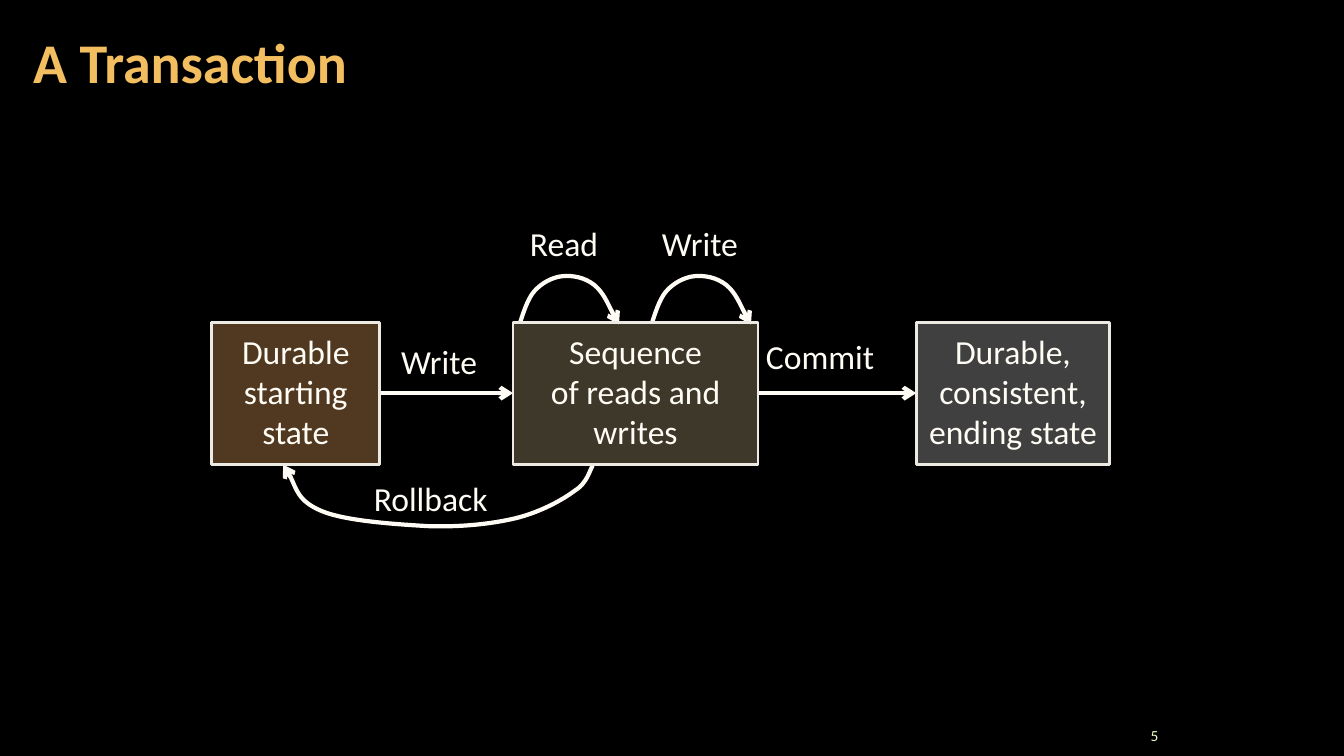
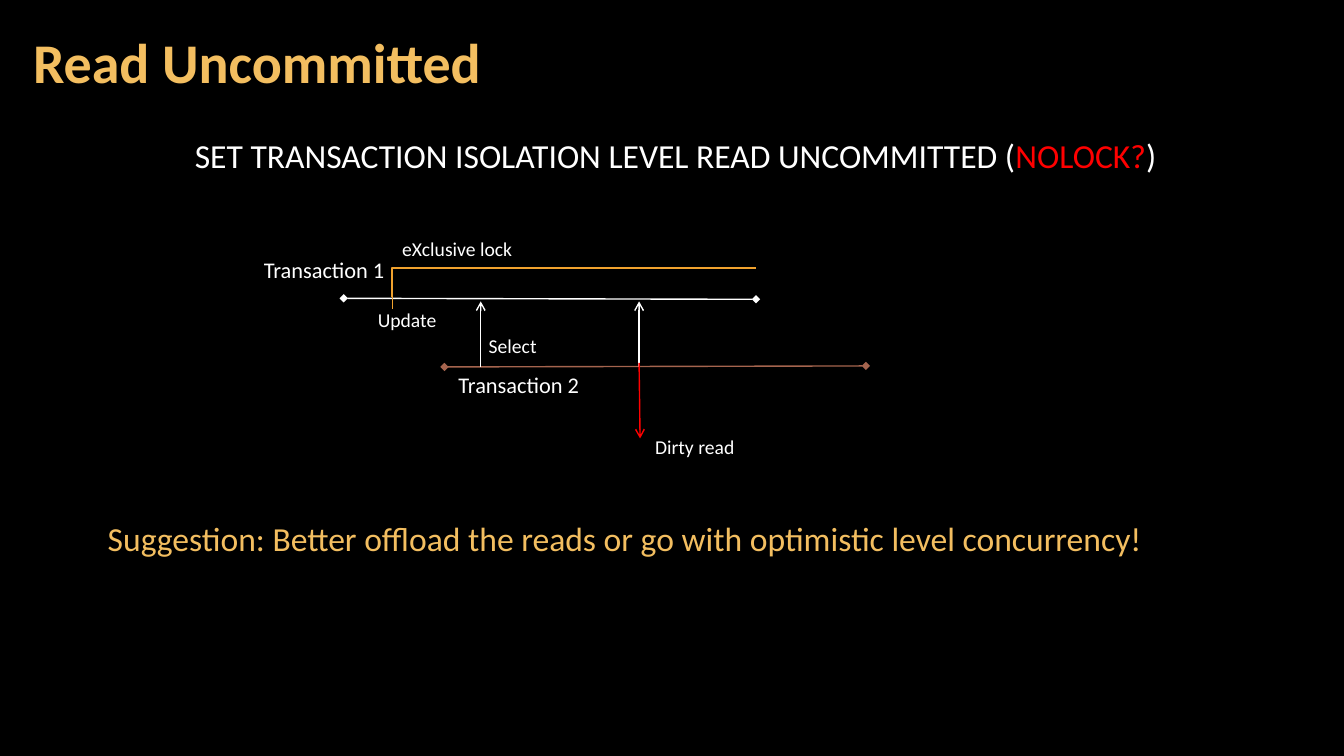
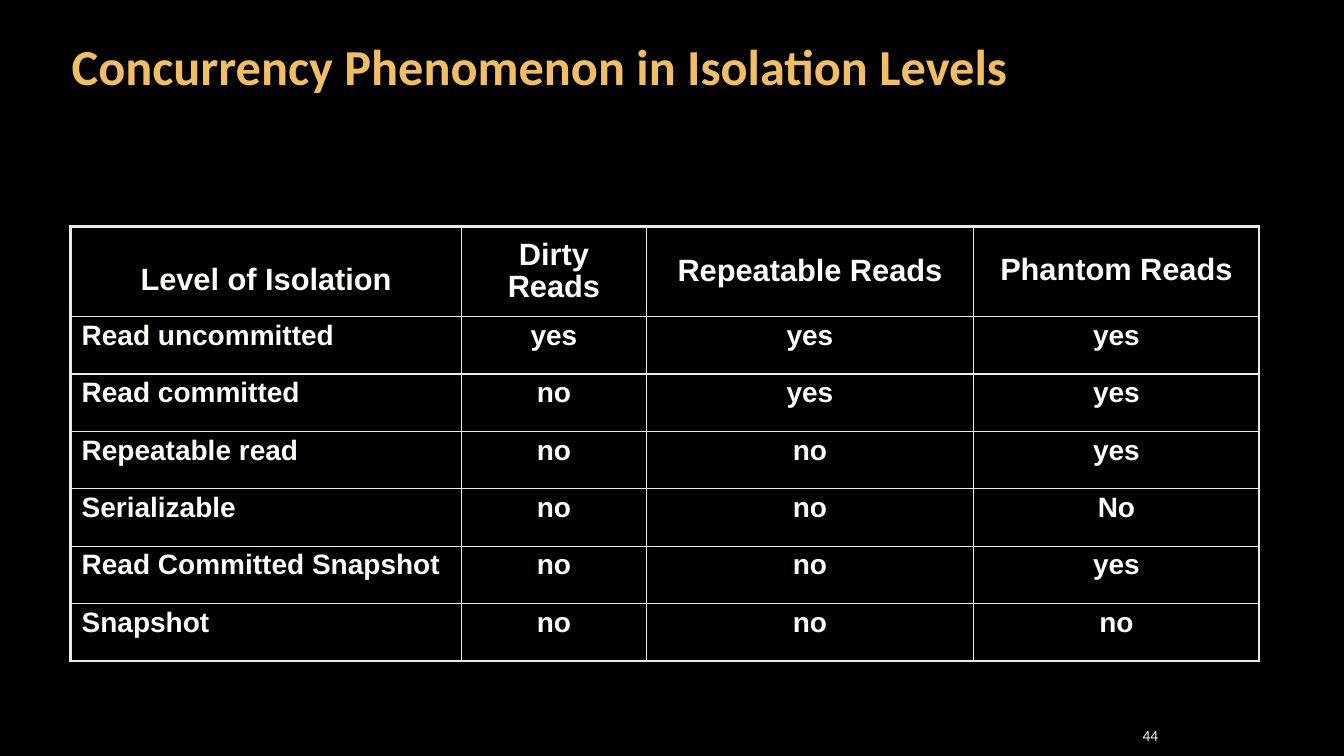
from dataclasses import dataclass
from itertools import pairwise
from typing import Sequence

from lxml import etree
from pptx import Presentation
from pptx.dml.color import RGBColor
from pptx.enum import shapes, text
from pptx.oxml import ns
from pptx.util import Pt

Point = tuple[float, float]
ALIGN = text.PP_ALIGN
ANCHOR = text.MSO_ANCHOR


@dataclass(frozen=True)
class Theme:
    background: str = "000000"
    title: str = "F3BE60"
    ink: str = "FEFCF4"
    white: str = "FFFFFF"
    border: str = "ECEAE3"
    number: str = "EBFFC2"
    alert: str = "FF0000"
    lock: str = "F0A22E"
    second: str = "A5644E"
    start_fill: str = "A27242"
    work_fill: str = "7C7154"
    end_fill: str = "808080"
    font: str = "Calibri"
    table_font: str = "Arial"
    title_size: float = 40
    long_title_size: float = 36
    body_size: float = 24
    header_size: float = 22
    cell_size: float = 20
    name_size: float = 16
    note_size: float = 14
    number_size: float = 11


T = Theme()


@dataclass(frozen=True)
class Label:
    text: str
    left: float
    top: float
    width: float
    height: float = 36
    size: float = T.body_size
    color: str = T.ink
    wrap: bool = False


@dataclass(frozen=True)
class State:
    text: str
    left: float
    width: float
    fill: str
    wrap: bool = True


@dataclass(frozen=True)
class Line:
    start: Point
    end: Point
    color: str = T.white
    width: float = 1
    head: str = ""
    tail: str = ""


def rgb(value: str) -> RGBColor:
    return RGBColor.from_string(value)


def sub(parent, tag: str, **attrs: str):
    return etree.SubElement(parent, ns.qn(tag), attrs)


def write(tf, content: str, *, size: float = T.body_size, color: str = T.ink,
          font: str = T.font, bold: bool = False, align=ALIGN.LEFT,
          spacing: float = 1.0, highlight: str = "") -> None:
    for i, row in enumerate(content.split("\n")):
        p = tf.add_paragraph() if i else tf.paragraphs[0]
        p.alignment = align
        p.line_spacing = spacing
        for part in row.partition(highlight) if highlight else (row,):
            r = p.add_run()
            r.text = part
            r.font.name = font
            r.font.size = Pt(size)
            r.font.bold = bold
            r.font.color.rgb = rgb(T.alert if part == highlight else color)


def frame(tf, insets: Sequence[float], anchor=ANCHOR.TOP, wrap: bool = True) -> None:
    tf.margin_left, tf.margin_top, tf.margin_right, tf.margin_bottom = map(Pt, insets)
    tf.vertical_anchor = anchor
    tf.word_wrap = wrap


def add_text(s, content: str, box: Sequence[float], *, insets=(7.2, 3.6, 7.2, 3.6),
             anchor=ANCHOR.TOP, wrap: bool = True, **style) -> None:
    tf = s.shapes.add_textbox(*map(Pt, box)).text_frame
    frame(tf, insets, anchor, wrap)
    write(tf, content, **style)


def add_label(s, label: Label) -> None:
    add_text(s, label.text, (label.left, label.top, label.width, label.height),
             wrap=label.wrap, size=label.size, color=label.color)


def add_slide(prs, title: str, *, left: float = 15, top: float = 3,
              size: float = T.title_size, number: str = ""):
    s = prs.slides.add_slide(prs.slide_layouts[6])
    add_text(s, title, (left, top, 754, 87), insets=(8.64, 2.88, 8.64, 2.88),
             anchor=ANCHOR.MIDDLE, size=size, color=T.title, bold=True, spacing=0.9)
    if number:
        add_text(s, number, (798.5, 516.2, 36, 18), anchor=ANCHOR.MIDDLE,
                 size=T.number_size, color=T.number, align=ALIGN.RIGHT)
    return s


def half_fill(fill, props, color: str) -> None:
    fill.solid()
    fill.fore_color.rgb = rgb(color)
    sub(props.find(ns.qn("a:solidFill"))[0], "a:alpha", val="50000")


def style_line(sp, color: str, width: float, head: str = "", tail: str = "") -> None:
    sp.line.color.rgb = rgb(color)
    sp.line.width = Pt(width)
    ln = sp._element.spPr.find(ns.qn("a:ln"))
    for tag, kind in (("a:headEnd", head), ("a:tailEnd", tail)):
        if kind:
            sub(ln, tag, type=kind)


def add_line(s, line: Line, kind=shapes.MSO_CONNECTOR.STRAIGHT):
    c = s.shapes.add_connector(kind, *map(Pt, line.start + line.end))
    style_line(c, line.color, line.width, line.head, line.tail)
    sub(c._element.spPr, "a:effectLst")
    return c


def add_curve(s, points: Sequence[Point], origin: Point = (0, 0)) -> None:
    start, *controls = [(Pt(x + origin[0]), Pt(y + origin[1])) for x, y in points]
    builder = s.shapes.build_freeform(*start)
    builder.add_line_segments(controls, close=False)
    sp = builder.convert_to_shape()
    sp.shadow.inherit = False
    sp.fill.background()
    outline = sp._element.spPr.find(".//" + ns.qn("a:path"))
    segments = outline.findall(ns.qn("a:lnTo"))
    for i in range(0, len(segments), 3):
        curve = sub(outline, "a:cubicBezTo")
        for segment in segments[i:i + 3]:
            curve.append(segment[0])
            outline.remove(segment)
    style_line(sp, T.ink, 3, tail="arrow")


def add_state(s, state: State, top: float, height: float) -> None:
    sp = s.shapes.add_shape(shapes.MSO_SHAPE.RECTANGLE, Pt(state.left), Pt(top),
                            Pt(state.width), Pt(height))
    sp.shadow.inherit = False
    half_fill(sp.fill, sp._element.spPr, state.fill)
    style_line(sp, T.border, 2)
    frame(sp.text_frame, (7.2, 5.8, 7.2, 8.6), wrap=state.wrap)
    write(sp.text_frame, state.text, align=ALIGN.CENTER)


def border_cell(cell, widths: dict[str, float]) -> None:
    tc_pr = cell._tc.get_or_add_tcPr()
    for i, (side, width) in enumerate(widths.items()):
        ln = etree.Element(ns.qn(f"a:ln{side}"), w=str(Pt(width)))
        sub(sub(ln, "a:solidFill"), "a:srgbClr", val=T.border)
        tc_pr.insert(i, ln)


def transaction_slide(prs) -> None:
    s = add_slide(prs, "A Transaction", number="5")
    top, height = 230.4, 101.5
    states = (
        State("Durable starting state", 151.2, 120.2, T.start_fill),
        State("Sequence\nof reads and writes", 366.5, 175, T.work_fill),
        State("Durable,\nconsistent,\nending state", 654.5, 138.2, T.end_fill, wrap=False),
    )
    for a, b in pairwise(states):
        add_line(s, Line((a.left + a.width, 280.8), (b.left, 280.8), T.ink, 3, tail="arrow"))
    loop = ((0, 0), (1.5, -4.3), (5, -16.6), (10.1, -22.3), (15.1, -28.1),
            (23, -32.4), (30.2, -33.1), (37.4, -33.8), (46.1, -32.4),
            (53.3, -26.6), (59.8, -20.9), (67, -4.3), (70.6, 1.4))
    for left in (371.5, 465.8):
        add_curve(s, loop, (left, top))
    add_curve(s, ((423.4, 332.6), (421.2, 335.5), (419.8, 344.9), (410.4, 350.6),
                  (401.8, 357.1), (385.9, 365.8), (368.6, 370.1), (350.6, 374.4),
                  (328.3, 376.6), (305.3, 375.8), (282.2, 374.4), (247, 372.2),
                  (229.7, 365), (212.4, 357.8), (208.1, 338.4), (202.3, 331.9)))
    for label in (
        Label("Rollback", 259.9, 337.7, 96.5),
        Label("Commit", 540, 236.2, 92.2),
        Label("Read", 371.5, 155.5, 64),
        Label("Write", 465.8, 155.5, 69),
        Label("Write", 279.4, 239.8, 69),
    ):
        add_label(s, label)
    for state in states:
        add_state(s, state, top, height)


def uncommitted_slide(prs) -> None:
    s = add_slide(prs, "Read Uncommitted")
    add_text(s, "SET TRANSACTION ISOLATION LEVEL READ UNCOMMITTED (NOLOCK?)",
             (15, 90.7, 935, 36), insets=(8.64, 2.88, 8.64, 2.88), color=T.white,
             align=ALIGN.CENTER, spacing=1.1, highlight="NOLOCK?")
    for line in (
        Line((245.5, 213.1), (540, 213.8), head="diamond", tail="diamond"),
        Line((317.5, 262.1), (618.5, 261.4), T.second, head="diamond", tail="diamond"),
        Line((343.4, 262.1), (343.4, 215.3), tail="arrow"),
        Line((456.5, 262.1), (456.5, 215.3), tail="arrow"),
        Line((456.5, 259.2), (457.2, 313.2), T.alert, tail="arrow"),
        Line((280.1, 203.8), (280.1, 221), T.lock, 0.5),
    ):
        add_line(s, line)
    lock = add_line(s, Line((280.1, 212.4), (540, 191.5), T.lock),
                    shapes.MSO_CONNECTOR.ELBOW)
    adjust = lock._element.spPr.find(".//" + ns.qn("a:avLst"))
    sub(adjust, "a:gd", name="adj1", fmla="val 0")
    for name, left, top in (("Transaction 1", 181.4, 179.3),
                            ("Transaction 2", 320.4, 261.4)):
        add_label(s, Label(name, left, top, 195, 26.6, T.name_size, T.white, True))
    for note, left, top, width in (
        ("Select", 342, 234.7, 57.6),
        ("Update", 262.8, 216.7, 57.6),
        ("eXclusive lock", 280.1, 165.6, 109.4),
        ("Dirty read", 460.8, 307.4, 98),
    ):
        add_label(s, Label(note, left, top, width, 24.5, T.note_size, T.white, True))
    add_text(s, "Suggestion: Better offload the reads or go with optimistic level concurrency!",
             (72, 360.7, 815.8, 70.6), insets=(5, 3.6, 0, 3.6), color=T.title, spacing=1.2)


def levels_slide(prs) -> None:
    s = add_slide(prs, "Concurrency Phenomenon in Isolation Levels", left=42.5, top=5.8,
                  size=T.long_title_size, number="44")
    rows = (
        ("Level of Isolation", "Dirty Reads", "Repeatable Reads", "Phantom Reads"),
        ("Read uncommitted", "yes", "yes", "yes"),
        ("Read committed", "no", "yes", "yes"),
        ("Repeatable read", "no", "no", "yes"),
        ("Serializable", "no", "no", "No"),
        ("Read Committed Snapshot", "no", "no", "yes"),
        ("Snapshot", "no", "no", "no"),
    )
    widths = (279.4, 131.8, 234, 203.8)
    heights = (64.1,) + (41.04,) * 6
    header_spacing = (1.5, 0.95, 0.95, 0.9)
    table = s.shapes.add_table(len(rows), len(widths), Pt(50.4), Pt(162),
                               Pt(sum(widths)), Pt(sum(heights))).table
    table.first_row = table.horz_banding = False
    for column, width in zip(table.columns, widths):
        column.width = Pt(width)
    last_row, last_col = len(rows) - 1, len(widths) - 1
    for i, (row, height) in enumerate(zip(rows, heights)):
        table.rows[i].height = Pt(height)
        for j, value in enumerate(row):
            cell = table.cell(i, j)
            frame(cell.text_frame, (7.92, 3.6, 7.92, 3.6))
            cell.margin_left = cell.margin_right = Pt(7.92)
            cell.margin_top = cell.margin_bottom = Pt(3.6)
            cell.vertical_anchor = ANCHOR.TOP if i else ANCHOR.MIDDLE
            half_fill(cell.fill, cell._tc.get_or_add_tcPr(), T.background)
            edges = {"L": j == 0, "R": j == last_col, "T": i == 0, "B": i == last_row}
            border_cell(cell, {side: 2.25 if outer else 1 for side, outer in edges.items()})
            write(cell.text_frame, value, font=T.table_font, bold=True,
                  size=T.cell_size if i else T.header_size,
                  align=ALIGN.LEFT if i and not j else ALIGN.CENTER,
                  spacing=0.95 if i else header_spacing[j])


def main() -> None:
    prs = Presentation()
    prs.slide_width, prs.slide_height = Pt(960), Pt(540)
    background = prs.slide_master.background.fill
    background.solid()
    background.fore_color.rgb = rgb(T.background)
    transaction_slide(prs)
    uncommitted_slide(prs)
    levels_slide(prs)
    prs.save("out.pptx")


if __name__ == "__main__":
    main()
